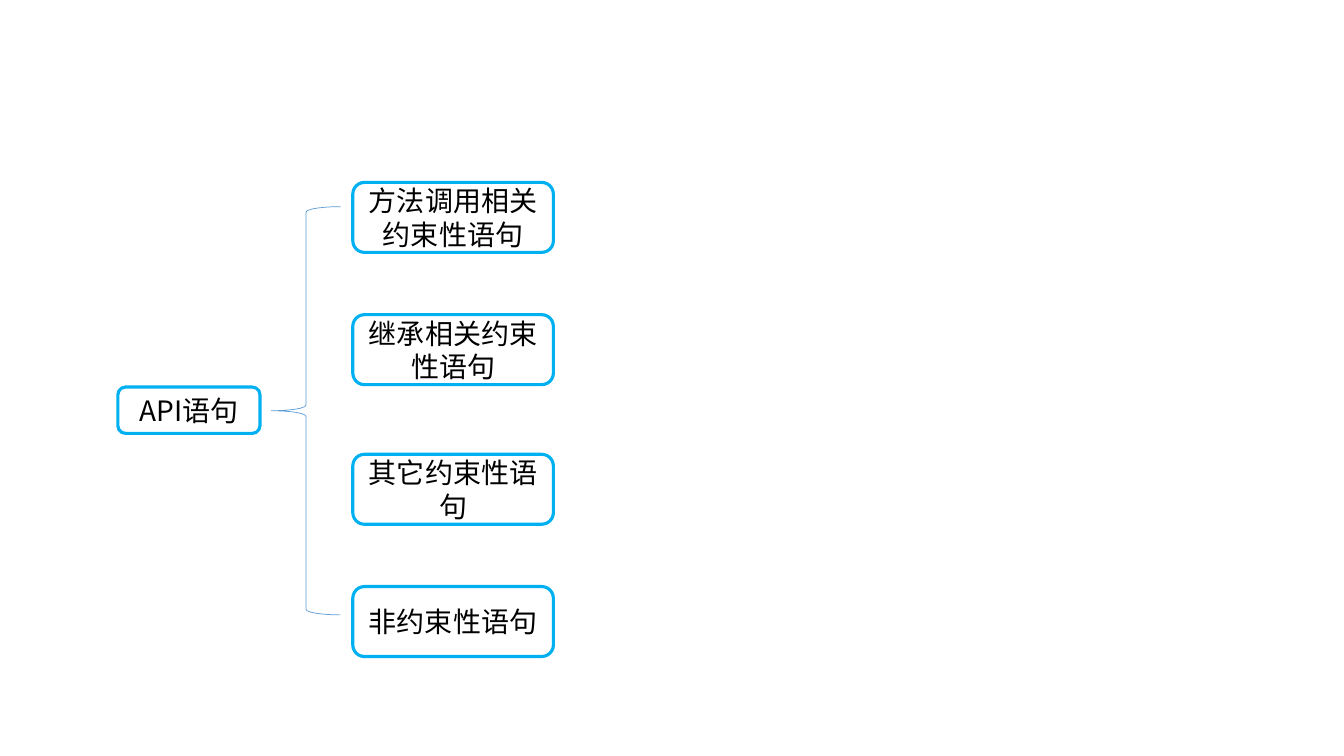
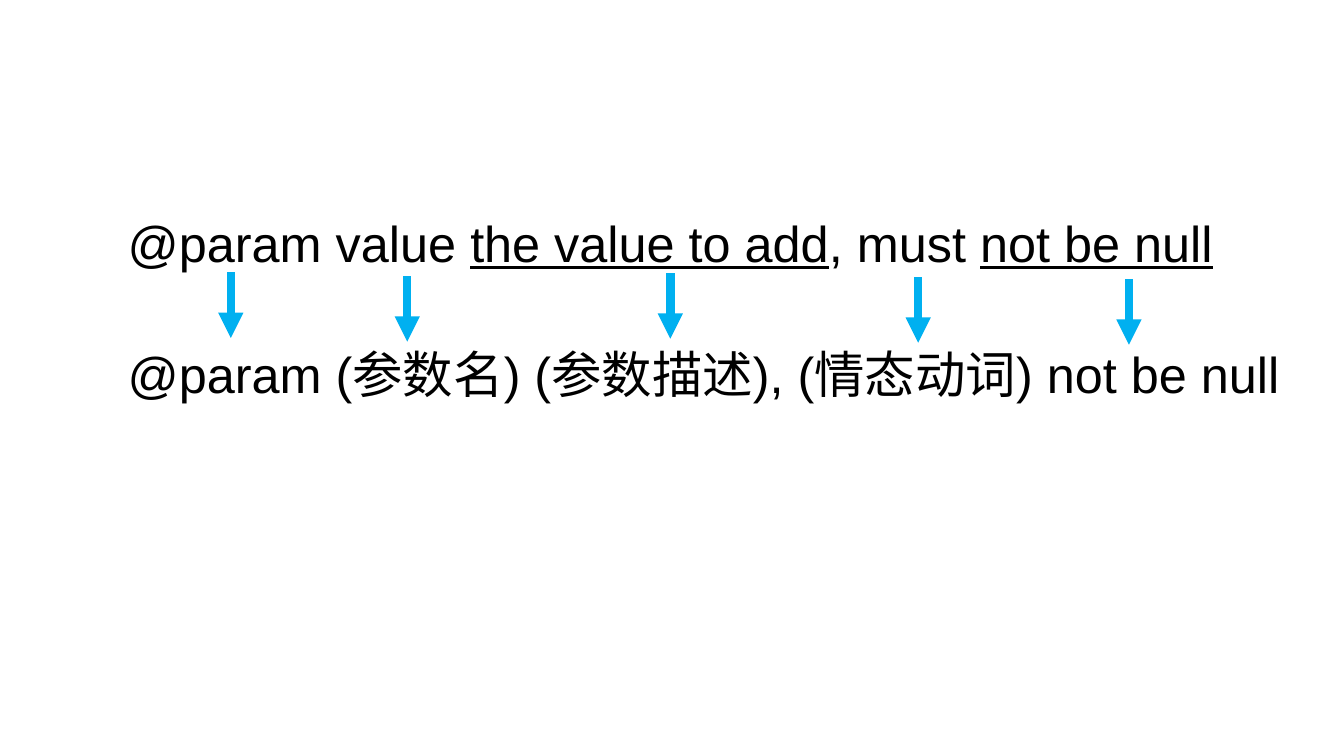
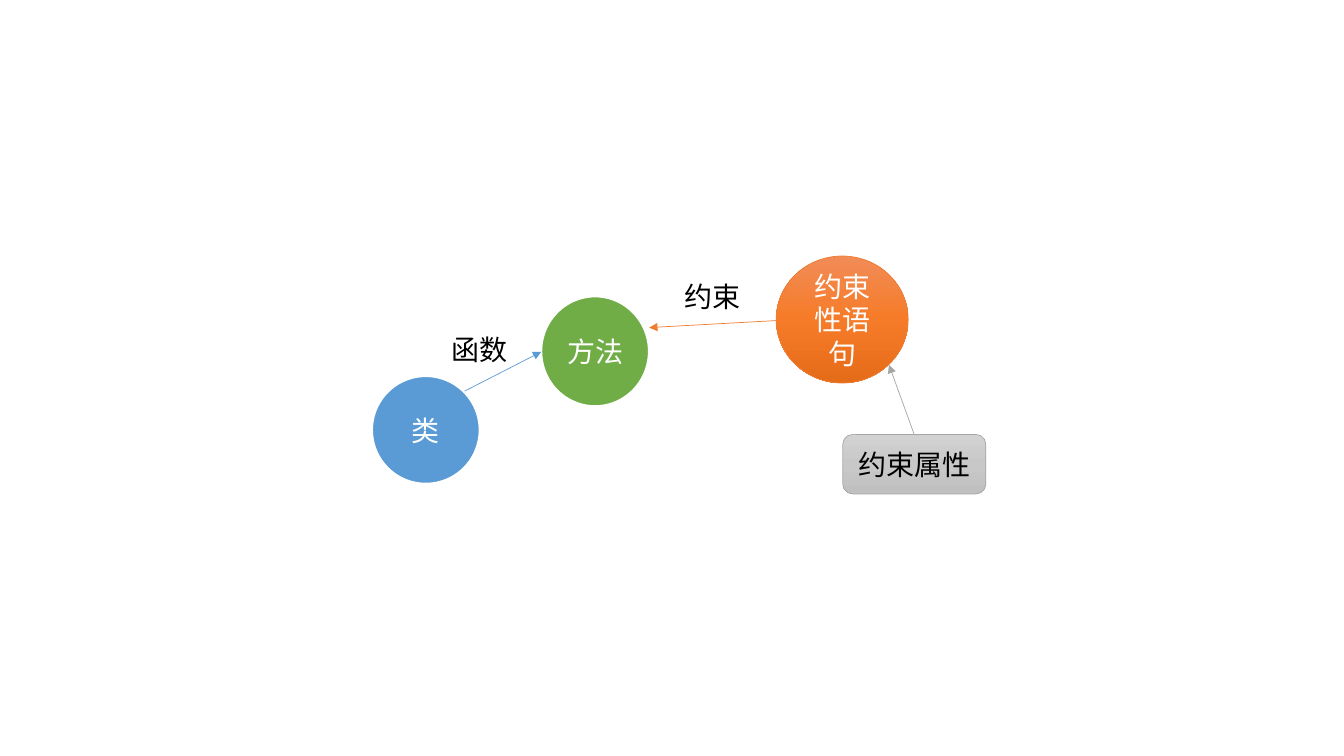
from lxml.etree import SubElement
from pptx import Presentation
from pptx.dml.color import RGBColor
from pptx.enum.shapes import MSO_CONNECTOR, MSO_SHAPE
from pptx.enum.text import MSO_ANCHOR, PP_ALIGN
from pptx.oxml.ns import qn
from pptx.util import Pt

BLACK = RGBColor(0x00, 0x00, 0x00)
WHITE = RGBColor(0xFF, 0xFF, 0xFF)
SKY = RGBColor(0x00, 0xB0, 0xF0)
BLUE = RGBColor(0x5B, 0x9B, 0xD5)
GREEN = RGBColor(0x70, 0xAD, 0x47)
ORANGE = RGBColor(0xED, 0x7D, 0x31)
GRAY = RGBColor(0xA5, 0xA5, 0xA5)
ORANGE_FADE = (RGBColor(0xF1, 0x8C, 0x57), RGBColor(0xF6, 0x7B, 0x28),
               RGBColor(0xE5, 0x6C, 0x19))
GRAY_FADE = (RGBColor(0xD2, 0xD2, 0xD2), RGBColor(0xC8, 0xC8, 0xC8),
             RGBColor(0xC0, 0xC0, 0xC0))

HAN = "Noto Sans CJK SC"
LATIN = "Arial"


class Deck:
    """Holds the shared style and the slide being filled."""

    def __init__(self):
        self.prs = Presentation()
        self.prs.slide_width, self.prs.slide_height = Pt(960), Pt(540)
        self.slide = None

    def new_slide(self):
        self.slide = self.prs.slides.add_slide(self.prs.slide_layouts[6])

    def styled_run(self, paragraph, text, **style):
        run = paragraph.add_run()
        run.text = text
        values = {"size": Pt(20), "name": HAN, **style}
        run.font.color.rgb = values.pop("color", BLACK)
        for key, value in values.items():
            setattr(run.font, key, value)

    def shape(self, kind, box, line, weight, text="", fill=None, **style):
        shape = self.slide.shapes.add_shape(kind, *map(Pt, box))
        shape.shadow.inherit = False
        shape.line.color.rgb = line
        shape.line.width = Pt(weight)
        if fill in (ORANGE_FADE, GRAY_FADE):
            self.fade(shape, fill)
        elif fill is not None:
            shape.fill.solid()
            shape.fill.fore_color.rgb = fill
        else:
            shape.fill.background()
        if text:
            frame = shape.text_frame
            frame.word_wrap = True
            frame.vertical_anchor = MSO_ANCHOR.MIDDLE
            frame.paragraphs[0].alignment = PP_ALIGN.CENTER
            self.styled_run(frame.paragraphs[0], text, **style)
        return shape

    def fade(self, shape, colors):
        """Top-to-bottom gradient through three evenly spaced colours."""
        shape.fill.gradient()
        shape.fill.gradient_angle = 270
        stops = shape._element.spPr.find(qn("a:gradFill")).find(qn("a:gsLst"))
        for stop in list(stops):
            stops.remove(stop)
        for index, color in enumerate(colors):
            stop = SubElement(stops, qn("a:gs"), pos=str(index * 50000))
            SubElement(stop, qn("a:srgbClr"), val=str(color))

    def text(self, box, parts, wrap=True, **style):
        frame = self.slide.shapes.add_textbox(*map(Pt, box)).text_frame
        frame.word_wrap = wrap
        for text, underline in parts:
            self.styled_run(frame.paragraphs[0], text, underline=underline, **style)

    def arrow(self, start, end, color, weight):
        arrow = self.slide.shapes.add_connector(
            MSO_CONNECTOR.STRAIGHT, *map(Pt, (*start, *end)))
        arrow.line.color.rgb = color
        arrow.line.width = Pt(weight)
        properties = arrow._element.spPr
        SubElement(properties.find(qn("a:ln")), qn("a:tailEnd"), type="triangle")
        SubElement(properties, qn("a:effectLst"))


def statement_tree(deck):
    deck.new_slide()
    brace = deck.shape(MSO_SHAPE.LEFT_BRACE, (193.7, 147.6, 49.7, 291.6), BLUE, 0.5)
    brace.adjustments[0], brace.adjustments[1] = 0.08, 0.5

    # Root and its four categories
    nodes = [("API语句", (84.2, 276.5, 101.5, 33.1))]
    categories = {"方法调用相关约束性语句": 130.3, "继承相关约束性语句": 224.8,
                  "其它约束性语句": 324.5, "非约束性语句": 419}
    nodes += [(name, (252, top, 143.3, 50)) for name, top in categories.items()]
    for name, box in nodes:
        deck.shape(MSO_SHAPE.ROUNDED_RECTANGLE, box, SKY, 2.25, name)


def param_pattern(deck):
    deck.new_slide()
    sentence = {"size": Pt(36), "name": LATIN}

    # Sample sentence and its pattern
    deck.text((84.2, 147.6, 796.3, 51.1),
              [("@param value ", False), ("the value to add", True),
               (", must ", False), ("not be null", True)], **sentence)
    deck.text((84.2, 241.2, 845.3, 51.1),
              [("@param (参数名) (参数描述), (情态动词) not be null", False)],
              **sentence)

    # Arrows from each part to its slot
    for x, top in ((164.9, 194.6), (290.9, 197.3), (478.8, 195.1),
                   (655.9, 198), (806.4, 199.4)):
        deck.arrow((x, top), (x, top + 46.8), SKY, 6)


def constraint_graph(deck):
    deck.new_slide()
    on_color = {"color": WHITE, "name": LATIN}

    # Entities
    deck.shape(MSO_SHAPE.OVAL, (265.7, 268.6, 77, 77), WHITE, 1.5,
               "类", BLUE, **on_color)
    deck.shape(MSO_SHAPE.OVAL, (386.6, 211.7, 77, 78.5), WHITE, 1.5,
               "方法", GREEN, **on_color)
    deck.shape(MSO_SHAPE.OVAL, (554.4, 182.9, 94.3, 90.7), ORANGE, 0.5,
               "约束性语句", ORANGE_FADE, **on_color)
    deck.shape(MSO_SHAPE.ROUNDED_RECTANGLE, (602, 310.3, 102.2, 42.5), GRAY, 0.5,
               "约束属性", GRAY_FADE)

    # Relations
    for start, end, color in (((331.9, 279.4), (386.6, 251.3), BLUE),
                              ((554.4, 229), (463.7, 234), ORANGE),
                              ((653, 310.3), (635, 260.6), GRAY)):
        deck.arrow(start, end, color, 0.5)
    for label, left, top in (("函数", 315.4, 234), ("约束", 481.7, 195.8)):
        deck.text((left, top, 54.7, 31.7), [(label, False)], wrap=False)


def main():
    deck = Deck()
    for build in (statement_tree, param_pattern, constraint_graph):
        build(deck)
    deck.prs.save("out.pptx")


if __name__ == "__main__":
    main()
